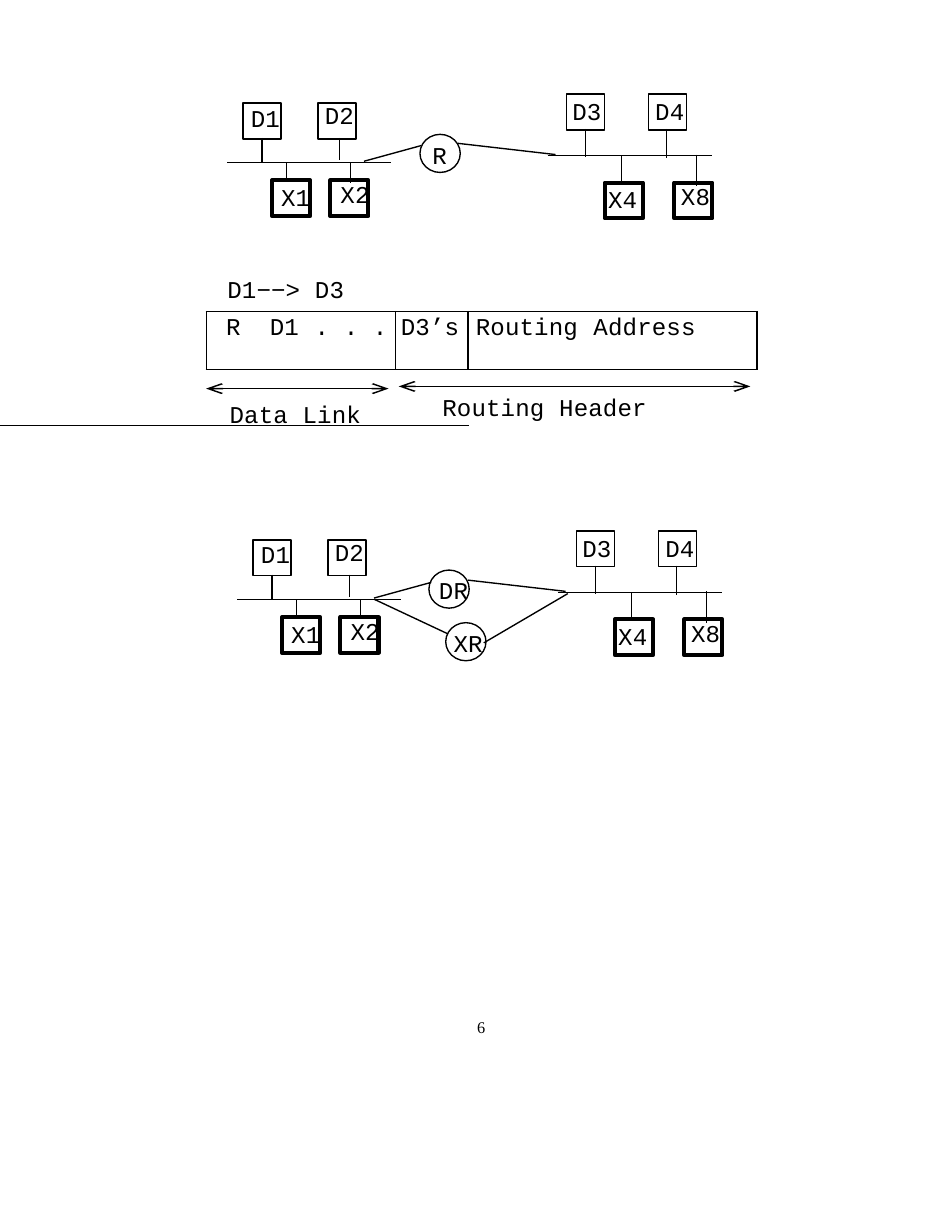
import dataclasses

import lxml.etree
import pptx
import pptx.dml.color
import pptx.enum.shapes
import pptx.oxml.ns
import pptx.util

Inches = pptx.util.Inches
Pt = pptx.util.Pt
qn = pptx.oxml.ns.qn
SHAPES = pptx.enum.shapes.MSO_SHAPE


@dataclasses.dataclass(frozen=True)
class Theme:
    ink: str = "000000"
    label_font: str = "Courier New"
    label_size: float = 15.5
    page_font: str = "Times New Roman"
    page_size: float = 10.5
    thin: float = 0.87
    heavy: float = 2.62
    text_drop: float = 0.04


THEME = Theme()
INK = pptx.dml.color.RGBColor.from_string(THEME.ink)
PLAIN_TABLE = "{2D5ABB26-0587-4C30-8999-92F81FD0307C}"
STATION_SIZE = (0.34, 0.32)
ROUTER_SIZE = (0.36, 0.34)

# name, box left, box top, label shift right, label shift up, heavy outline
STATIONS = [
    ("D1", 2.17, 0.92, 0.06, 0.04, False),
    ("D2", 2.84, 0.92, 0.05, 0.06, False),
    ("D3", 5.06, 0.84, 0.04, 0.02, False),
    ("D4", 5.79, 0.84, 0.05, 0.02, False),
    ("X1", 2.43, 1.61, 0.07, 0.02, True),
    ("X2", 2.95, 1.61, 0.08, 0.05, True),
    ("X4", 5.40, 1.63, 0.02, 0.02, True),
    ("X8", 6.02, 1.63, 0.05, 0.05, True),
]
# x, top, bottom
TAPS = [
    (2.34, 1.23, 1.45), (3.03, 1.23, 1.43), (2.56, 1.45, 1.61), (3.13, 1.45, 1.63),
    (5.23, 1.15, 1.40), (5.95, 1.15, 1.41), (5.55, 1.39, 1.63), (6.22, 1.38, 1.66),
]
CABLES = [(2.03, 1.45, 3.49, 1.45), (4.89, 1.39, 6.36, 1.39)]
ROUTER_LINKS = [(3.25, 1.44, 3.76, 1.30), (4.09, 1.28, 4.96, 1.38)]

# text, column width, left margin, line on the right
PACKET_FIELDS = [
    ("R", 0.44, 0.18, False), ("D1", 0.46, 0.13, False),
    (".", 0.26, 0.07, False), (".", 0.26, 0.07, False), (".", 0.27, 0.07, True),
    ("D3’s", 0.65, 0.05, True),
    ("Routing", 1.05, 0.07, False), ("Address", 1.53, 0.07, True),
]


def format_runs(paragraph, font_name, size, spacing):
    """Style every run; spacing is in hundredths of a point."""
    for run in paragraph.runs:
        run.font.name = font_name
        run.font.size = Pt(size)
        run.font.color.rgb = INK
        run._r.get_or_add_rPr().set("spc", str(spacing))


def add_text(slide, text, left, top, width, height=0.3, drop=THEME.text_drop,
             font_name=THEME.label_font, size=THEME.label_size, indent=0.01, spacing=10):
    shape = slide.shapes.add_textbox(Inches(left), Inches(top), Inches(width), Inches(height))
    frame = shape.text_frame
    frame.word_wrap = True
    frame.margin_left, frame.margin_top = Inches(indent), Inches(drop)
    frame.margin_right = frame.margin_bottom = 0
    frame.text = text
    format_runs(frame.paragraphs[0], font_name, size, spacing)


def add_outline(slide, kind, left, top, size, weight=THEME.thin):
    shape = slide.shapes.add_shape(kind, Inches(left), Inches(top), *map(Inches, size))
    shape.shadow.inherit = False
    shape.fill.background()
    shape.line.color.rgb = INK
    shape.line.width = Pt(weight)


def add_line(slide, x1, y1, x2, y2, double_arrow=False):
    line = slide.shapes.add_connector(
        pptx.enum.shapes.MSO_CONNECTOR.STRAIGHT, *map(Inches, (x1, y1, x2, y2)))
    line.line.color.rgb = INK
    line.line.width = Pt(THEME.thin)
    lxml.etree.SubElement(line._element.spPr, qn("a:effectLst"))
    if double_arrow:
        outline = line.line._get_or_add_ln()
        for end in ("a:headEnd", "a:tailEnd"):
            lxml.etree.SubElement(outline, qn(end), type="arrow", w="med", len="lg")


def add_router(slide, name, left, top, label_left):
    add_outline(slide, SHAPES.OVAL, left, top, ROUTER_SIZE)
    add_text(slide, name, label_left, top + 0.01, 0.15 * len(name))


def add_network(slide, dx=0, dy=0):
    """Draw both cables with their stations, and the links to the upper router."""
    for name, left, top, right_shift, up_shift, heavy in STATIONS:
        weight = THEME.heavy if heavy else THEME.thin
        add_outline(slide, SHAPES.RECTANGLE, left + dx, top + dy, STATION_SIZE, weight)
        add_text(slide, name, left + right_shift + dx, top - up_shift + dy, 0.29)
    taps = [(x, top, x, bottom) for x, top, bottom in TAPS]
    for x1, y1, x2, y2 in CABLES + taps + ROUTER_LINKS:
        add_line(slide, x1 + dx, y1 + dy, x2 + dx, y2 + dy)


def add_border(cell, side):
    properties = cell._tc.get_or_add_tcPr()
    border = lxml.etree.SubElement(properties, qn("a:ln" + side), w=str(Pt(THEME.thin)))
    fill = lxml.etree.SubElement(border, qn("a:solidFill"))
    lxml.etree.SubElement(fill, qn("a:srgbClr"), val=THEME.ink)


def add_packet(slide, left, top, height):
    width = sum(field[1] for field in PACKET_FIELDS)
    frame = slide.shapes.add_table(
        1, len(PACKET_FIELDS), Inches(left), Inches(top), Inches(width), Inches(height))
    table = frame.table
    table.first_row = table.horz_banding = False
    table._tbl.tblPr.find(qn("a:tableStyleId")).text = PLAIN_TABLE
    for index, (text, column_width, indent, closed) in enumerate(PACKET_FIELDS):
        table.columns[index].width = Inches(column_width)
        cell = table.cell(0, index)
        cell.margin_left, cell.margin_top = Inches(indent), Inches(THEME.text_drop)
        cell.margin_right = cell.margin_bottom = 0
        sides = ("L" if index == 0 else "") + ("R" if closed else "") + "TB"
        for side in sides:
            add_border(cell, side)
        cell.fill.background()
        cell.text_frame.text = text
        format_runs(cell.text_frame.paragraphs[0], THEME.label_font, THEME.label_size, 10)


def main():
    presentation = pptx.Presentation()
    presentation.slide_width = Inches(8.5)
    presentation.slide_height = Inches(11)
    slide = presentation.slides.add_slide(presentation.slide_layouts[6])

    add_network(slide)
    add_router(slide, "R", 3.75, 1.2, 3.85)

    add_text(slide, "D1−−> D3", 2.02, 2.41, 1.08)
    add_packet(slide, 1.84, 2.78, 0.52)
    add_line(slide, 1.84, 3.47, 3.47, 3.47, double_arrow=True)
    add_line(slide, 3.56, 3.45, 6.7, 3.45, double_arrow=True)
    add_text(slide, "Data Link", 2.04, 3.53, 1.21)
    add_text(slide, "Routing Header", 3.94, 3.46, 1.86)
    add_line(slide, 0, 3.8, 4.19, 3.8)

    add_network(slide, dx=0.09, dy=3.9)
    add_router(slide, "DR", 3.83, 5.09, 3.91)
    add_router(slide, "XR", 3.98, 5.56, 4.04)
    add_line(slide, 3.34, 5.35, 4, 5.66)
    add_line(slide, 5.07, 5.3, 4.32, 5.74)

    add_text(slide, "6", 4.23, 9.06, 0.13, 0.18, drop=0.02, font_name=THEME.page_font,
             size=THEME.page_size, indent=0.03, spacing=-10)
    presentation.save("out.pptx")


if __name__ == "__main__":
    main()
